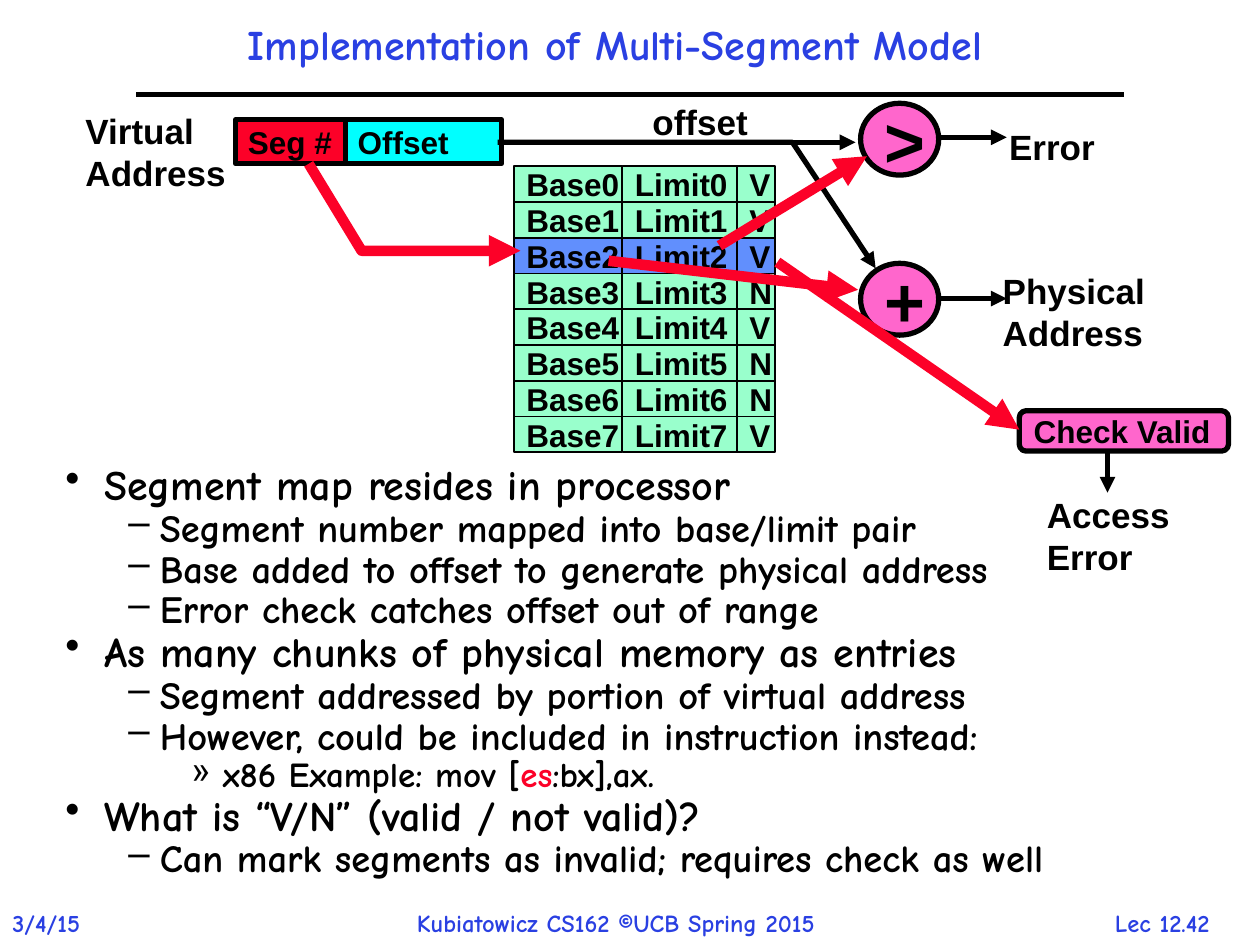
from lxml.etree import SubElement
from pptx import Presentation
from pptx.dml.color import RGBColor
from pptx.enum.shapes import MSO_CONNECTOR, MSO_SHAPE
from pptx.enum.text import MSO_ANCHOR, PP_ALIGN
from pptx.oxml.ns import qn
from pptx.util import Inches, Pt

COLORS = {
    "blue": "2A40E2", "black": "000000", "red": "FC0128", "cyan": "00FFFF",
    "pink": "FF66CC", "mint": "99FFCC", "highlight": "618FFD",
}
DIAGRAM_FONT = "Arial"
PROSE_FONT = "Comic Neue"

VALID_FLAGS = "VVVNVNNV"
SELECTED_SEGMENT = 2
SEGMENT_COLUMNS = [(4.08, 0.86), (4.94, 0.91), (5.85, 0.3)]
SEGMENT_TOP, SEGMENT_HEIGHT = 1.32, 2.27

# Per outline level: bullet, text indent, hanging indent, size
LEVELS = [("•", 0.31, 0.31, 24), ("–", 0.75, 0.25, 22), ("»", 1.25, 0.25, 20)]
NOTES = [
    (0, "Segment map resides in processor"),
    (1, "Segment number mapped into base/limit pair"),
    (1, "Base added to offset to generate physical address"),
    (1, "Error check catches offset out of range"),
    (0, "As many chunks of physical memory as entries"),
    (1, "Segment addressed by portion of virtual address"),
    (1, "However, could be included in instruction instead:"),
    (2, "x86 Example: mov [", "es", ":bx],ax."),
    (0, "What is “V/N” (valid / not valid)?"),
    (1, "Can mark segments as invalid; requires check as well"),
]


def color(name):
    return RGBColor.from_string(COLORS[name])


def style_font(font, size, family, ink="black"):
    font.size = Pt(size)
    font.name = family
    font.bold = True
    font.color.rgb = color(ink)


def add_label(slide, box, lines, size=20, family=DIAGRAM_FONT, ink="black",
              align=PP_ALIGN.LEFT):
    frame = slide.shapes.add_textbox(*map(Inches, box)).text_frame
    frame.word_wrap = False
    for index, line in enumerate(lines):
        paragraph = frame.add_paragraph() if index else frame.paragraphs[0]
        paragraph.text = line
        paragraph.alignment = align
        style_font(paragraph.font, size, family, ink)
    return frame


def add_block(slide, kind, box, text, fill, size=18, border=3):
    block = slide.shapes.add_shape(kind, *map(Inches, box))
    block.shadow.inherit = False
    block.fill.solid()
    block.fill.fore_color.rgb = color(fill)
    block.line.color.rgb = color("black")
    block.line.width = Pt(border)
    frame = block.text_frame
    frame.word_wrap = False
    frame.vertical_anchor = MSO_ANCHOR.MIDDLE
    paragraph = frame.paragraphs[0]
    paragraph.text = text
    paragraph.alignment = PP_ALIGN.LEFT
    style_font(paragraph.font, size, DIAGRAM_FONT)


def style_line(line, ink, width, arrow):
    line.color.rgb = color(ink)
    line.width = Pt(width)
    if arrow:
        SubElement(line._get_or_add_ln(), qn("a:tailEnd"), type="triangle")


def add_line(slide, start, end, ink="black", width=3, arrow=True):
    connector = slide.shapes.add_connector(
        MSO_CONNECTOR.STRAIGHT, *map(Inches, start + end))
    style_line(connector.line, ink, width, arrow)
    SubElement(connector._element.spPr, qn("a:effectLst"))


def add_bent_arrow(slide, points, ink="black", width=3):
    start, *rest = [(Inches(x), Inches(y)) for x, y in points]
    builder = slide.shapes.build_freeform(*start)
    builder.add_line_segments(rest, close=False)
    arrow = builder.convert_to_shape()
    arrow.shadow.inherit = False
    arrow.fill.background()
    style_line(arrow.line, ink, width, True)


def add_segment_map(slide):
    row_height = SEGMENT_HEIGHT / len(VALID_FLAGS)
    for row, flag in enumerate(VALID_FLAGS):
        fill = "highlight" if row == SELECTED_SEGMENT else "mint"
        top = SEGMENT_TOP + row * row_height
        for (left, width), text in zip(
                SEGMENT_COLUMNS, (f"Base{row}", f"Limit{row}", flag)):
            add_block(slide, MSO_SHAPE.RECTANGLE,
                      (left, top, width, row_height), text, fill, border=1)


def add_notes_outline(slide):
    outline = slide.shapes.add_textbox(
        Inches(0.42), Inches(3.67), Inches(9.25), Inches(3.5)).text_frame
    outline.word_wrap = True
    for index, (level, *pieces) in enumerate(NOTES):
        bullet, indent, hanging, size = LEVELS[level]
        paragraph = outline.add_paragraph() if index else outline.paragraphs[0]
        paragraph.level = level
        properties = paragraph._p.get_or_add_pPr()
        properties.set("marL", str(Inches(indent)))
        properties.set("indent", str(-Inches(hanging)))
        if index:
            space_before = SubElement(properties, qn("a:spcBef"))
            SubElement(space_before, qn("a:spcPct"), val="10000")
        SubElement(properties, qn("a:buChar"), char=bullet)
        paragraph.line_spacing = 0.8
        style_font(paragraph.font, size, PROSE_FONT)
        for piece in pieces:
            run = paragraph.add_run()
            run.text = piece
            if piece == "es":
                run.font.color.rgb = color("red")


def add_title_and_footer(slide):
    title = add_label(slide, (0.42, 0.08, 8.92, 0.58),
                      ["Implementation of Multi-Segment Model"],
                      24, PROSE_FONT, "blue", PP_ALIGN.CENTER)
    title.word_wrap = True
    title.vertical_anchor = MSO_ANCHOR.MIDDLE
    title.paragraphs[0].line_spacing = 0.9
    add_line(slide, (1.08, 0.75), (8.92, 0.75), arrow=False)
    for left, width, text, align in [
        (0, 0.88, "3/4/15", PP_ALIGN.LEFT),
        (3.21, 3.87, "Kubiatowicz CS162 ©UCB Spring 2015", PP_ALIGN.LEFT),
        (8.56, 1.33, "Lec 12.42", PP_ALIGN.CENTER),
    ]:
        add_label(slide, (left, 7.16, width, 0.34), [text],
                  14, PROSE_FONT, "blue", align)


def add_virtual_address(slide):
    add_block(slide, MSO_SHAPE.RECTANGLE, (2.74, 0.95, 1.24, 0.35), "Offset", "cyan")
    add_block(slide, MSO_SHAPE.RECTANGLE, (1.87, 0.95, 0.87, 0.35), "Seg #", "red")
    add_label(slide, (0.58, 0.82, 1.32, 0.77), ["Virtual", "Address"])


def add_translation(slide):
    """Offset path, adder, limit comparison and validity check."""
    add_bent_arrow(slide, [(3.95, 1.13), (6.29, 1.13), (6.95, 2.13)])
    add_block(slide, MSO_SHAPE.OVAL, (6.83, 2.09, 0.62, 0.57), "+", "pink", 40)
    add_line(slide, (4.83, 2.07), (6.81, 2.3), "red", 6)
    add_line(slide, (7.43, 2.37), (7.99, 2.37))
    add_label(slide, (7.86, 2.09, 1.34, 0.77), ["Physical", "Address"])

    add_block(slide, MSO_SHAPE.OVAL, (6.83, 0.82, 0.62, 0.57), ">", "pink", 40)
    add_line(slide, (5.71, 1.95), (6.88, 1.24), "red", 6)
    add_line(slide, (7.43, 1.09), (7.99, 1.09))
    add_label(slide, (7.91, 0.95, 0.89, 0.43), ["Error"])
    add_line(slide, (6.29, 1.13), (6.79, 1.13))

    add_bent_arrow(slide, [(2.45, 1.3), (2.87, 1.99), (4.13, 1.99)], "red", 6)
    add_label(slide, (5.08, 0.75, 0.97, 0.44), ["offset"])

    add_block(slide, MSO_SHAPE.ROUNDED_RECTANGLE, (8.09, 3.26, 1.66, 0.32),
              "Check Valid", "pink")
    add_line(slide, (6.17, 2.08), (8.09, 3.41), "red", 6)
    add_label(slide, (8.21, 3.87, 1.18, 0.77), ["Access", "Error"])
    add_line(slide, (8.79, 3.57), (8.79, 3.91))


def main():
    deck = Presentation()
    deck.slide_width, deck.slide_height = Inches(10), Inches(7.5)
    slide = deck.slides.add_slide(deck.slide_layouts[6])
    add_title_and_footer(slide)
    add_notes_outline(slide)
    add_segment_map(slide)
    add_virtual_address(slide)
    add_translation(slide)
    deck.save("out.pptx")


if __name__ == "__main__":
    main()
